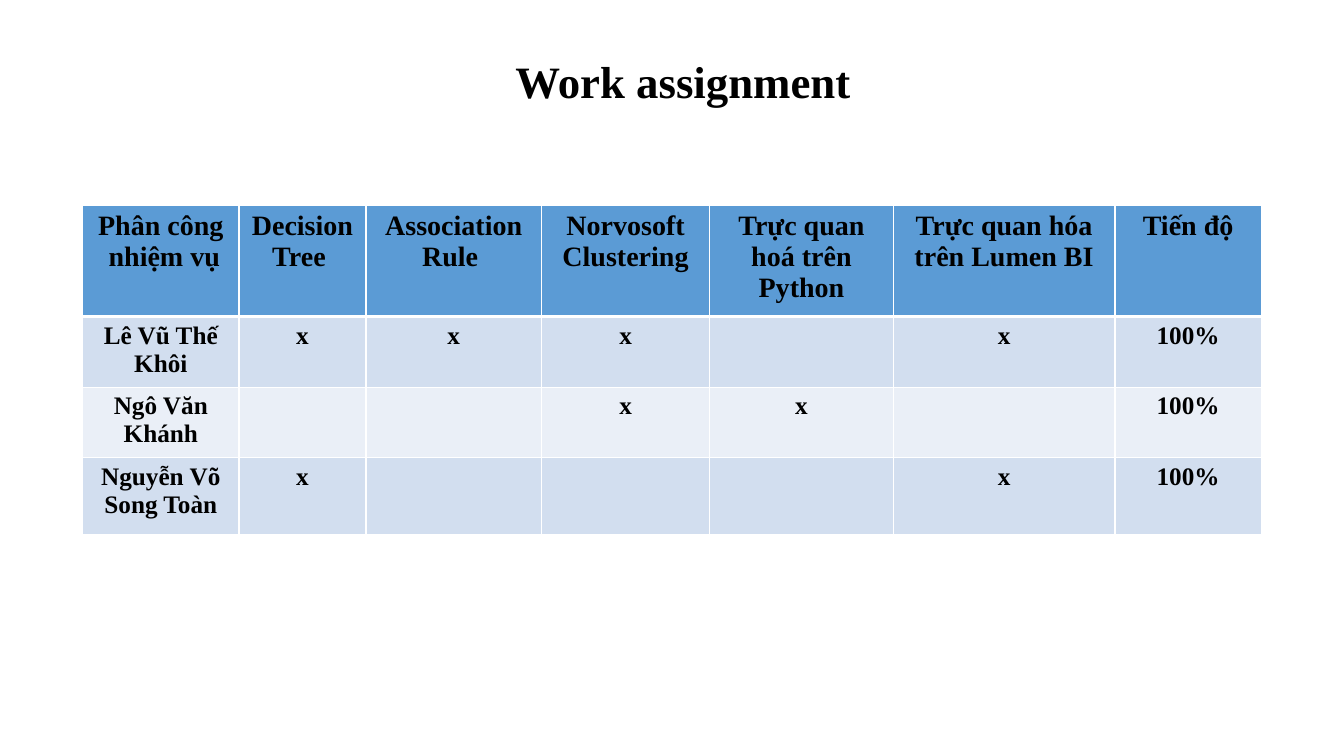
from dataclasses import dataclass

from lxml import etree
from pptx import Presentation
from pptx.dml.color import RGBColor
from pptx.enum import text
from pptx.oxml import ns
from pptx.util import Inches, Pt

TITLE = "Work assignment"
HEADERS = [
    "Phân công\n nhiệm vụ",
    "Decision Tree ",
    "Association Rule ",
    "Norvosoft Clustering",
    "Trực quan hoá trên Python",
    "Trực quan hóa trên Lumen BI",
    "Tiến độ",
]
MEMBERS = [
    ("Lê Vũ Thế Khôi", "x", "x", "x", "", "x", "100%"),
    ("Ngô Văn Khánh", "", "", "x", "x", "", "100%"),
    ("Nguyễn Võ Song Toàn", "x", "", "", "", "x", "100%"),
]
COLUMN_WIDTHS = [1.55, 1.26, 1.74, 1.67, 1.82, 2.2, 1.45]
ROW_HEIGHTS = [0.82, 0.65, 0.65, 0.76]


@dataclass(frozen=True)
class Theme:
    font: str = "Times New Roman"
    ink: str = "000000"
    border: str = "FFFFFF"
    header_fill: str = "5B9BD5"
    band_fills: tuple = ("D2DEEF", "EAEFF7")
    title_size: int = 32
    header_size: int = 20
    body_size: int = 18


THEME = Theme()


def write(frame, content, size):
    """Write centred bold text, one paragraph per line of content."""
    for index, line in enumerate(content.split("\n")):
        paragraph = frame.paragraphs[0] if index == 0 else frame.add_paragraph()
        paragraph.alignment = text.PP_ALIGN.CENTER
        if line:
            run = paragraph.add_run()
            run.text = line
            font = run.font
        else:
            font = paragraph.font
        font.name = THEME.font
        font.size = Pt(size)
        font.bold = True
        font.color.rgb = RGBColor.from_string(THEME.ink)


def add_borders(cell, widths):
    """Draw solid cell borders; widths maps side letters to points."""
    properties = cell._tc.get_or_add_tcPr()
    for side, width in widths.items():
        line = etree.SubElement(properties, ns.qn(f"a:ln{side}"), w=str(Pt(width)))
        fill = etree.SubElement(line, ns.qn("a:solidFill"))
        etree.SubElement(fill, ns.qn("a:srgbClr"), val=THEME.border)


def add_title(slide):
    box = slide.shapes.add_textbox(Inches(0.49), Inches(0.54), Inches(12.57), Inches(0.59))
    frame = box.text_frame
    frame.word_wrap = True
    frame.vertical_anchor = text.MSO_ANCHOR.MIDDLE
    write(frame, TITLE, THEME.title_size)
    frame.paragraphs[0].line_spacing = 0.9


def add_assignment_table(slide):
    rows = [HEADERS, *MEMBERS]
    table = slide.shapes.add_table(
        len(rows), len(HEADERS), Inches(0.82), Inches(2.04),
        Inches(sum(COLUMN_WIDTHS)), Inches(sum(ROW_HEIGHTS)),
    ).table
    for column, width in zip(table.columns, COLUMN_WIDTHS):
        column.width = Inches(width)
    for row_index, (row, height) in enumerate(zip(rows, ROW_HEIGHTS)):
        table.rows[row_index].height = Inches(height)
        is_header = row_index == 0
        fill = THEME.header_fill if is_header else THEME.band_fills[(row_index - 1) % 2]
        size = THEME.header_size if is_header else THEME.body_size
        top = 3 if row_index == 1 else 1
        bottom = 3 if is_header else 1
        for column_index, content in enumerate(row):
            cell = table.cell(row_index, column_index)
            add_borders(cell, {"L": 1, "R": 1, "T": top, "B": bottom})
            cell.fill.solid()
            cell.fill.fore_color.rgb = RGBColor.from_string(fill)
            write(cell.text_frame, content, size)


def main():
    presentation = Presentation()
    presentation.slide_width = Inches(13.33)
    presentation.slide_height = Inches(7.5)
    slide = presentation.slides.add_slide(presentation.slide_layouts[6])
    add_title(slide)
    add_assignment_table(slide)
    presentation.save("out.pptx")


if __name__ == "__main__":
    main()
